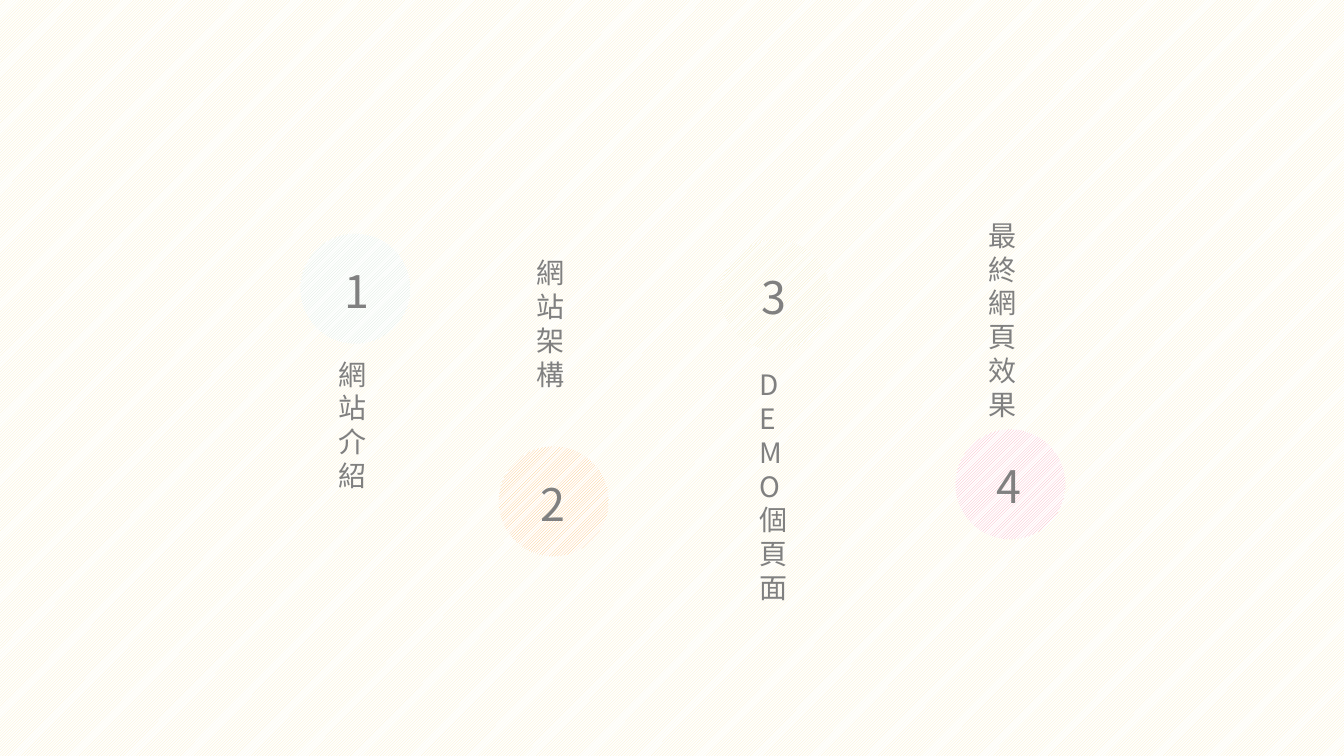
from dataclasses import dataclass

from lxml.etree import SubElement
from pptx import Presentation
from pptx.dml.color import RGBColor
from pptx.dml.fill import FillFormat
from pptx.enum.dml import MSO_PATTERN
from pptx.enum.shapes import MSO_SHAPE
from pptx.enum.text import MSO_ANCHOR, MSO_AUTO_SIZE, PP_ALIGN
from pptx.oxml.ns import qn
from pptx.util import Cm, Pt

FONT = "Noto Sans CJK SC"
GREY = "808080"
CIRCLE = 2.77
LINE_HEIGHT = 1.21  # line pitch relative to the font size


@dataclass
class Box:
    left: float
    top: float
    width: float
    height: float


@dataclass
class Item:
    label: str
    colour: str
    circle_left: float
    circle_top: float
    label_box: Box
    digit_dx: float = 0.79


ITEMS = [
    Item("網站介紹", "D6E6D7", 7.57, 5.89, Box(8.28, 8.81, 1.3, 4.52), 0.86),
    Item("網站架構", "FBC279", 12.57, 11.25, Box(13.26, 6.25, 1.17, 3.68)),
    Item("DEMO個頁面", "F1E7B6", 18.16, 6.05, Box(18.9, 9.07, 1.3, 6.25)),
    Item("最終網頁效果", "F7ACBC", 24.08, 10.82, Box(24.66, 5.31, 1.83, 5.38)),
]


def rgb(colour: str) -> RGBColor:
    return RGBColor.from_string(colour)


def hatch(fill: FillFormat, pattern: MSO_PATTERN, colour: str) -> None:
    fill.patterned()
    fill.pattern = pattern
    fill.fore_color.rgb = rgb(colour)
    fill.back_color.rgb = rgb("FFFFFF")


def add_text(shapes, text: str, box: Box, size: float) -> None:
    """Add a narrow box that wraps to one character per line."""
    s = shapes.add_textbox(Cm(box.left), Cm(box.top), Cm(box.width), Cm(box.height))
    tf = s.text_frame
    tf.word_wrap = True
    tf.auto_size = MSO_AUTO_SIZE.SHAPE_TO_FIT_TEXT
    tf.vertical_anchor = MSO_ANCHOR.TOP
    tf.margin_top = Cm(0.18)
    tf.margin_bottom = Cm(0.08)
    p = tf.paragraphs[0]
    p.alignment = PP_ALIGN.LEFT
    p.line_spacing = Pt(size * LINE_HEIGHT)
    r = p.add_run()
    r.text = text
    r.font.name = FONT
    r.font.size = Pt(size)
    r.font.color.rgb = rgb(GREY)
    # East Asian characters take their own typeface setting
    SubElement(r.font._element, qn("a:ea")).set("typeface", FONT)


def add_badge(shapes, number: int, item: Item) -> None:
    group = shapes.add_group_shape()
    s = group.shapes.add_shape(
        MSO_SHAPE.OVAL, Cm(item.circle_left), Cm(item.circle_top), Cm(CIRCLE), Cm(CIRCLE)
    )
    s.shadow.inherit = False
    s.line.fill.background()
    hatch(s.fill, MSO_PATTERN.DARK_UPWARD_DIAGONAL, item.colour)
    digit_box = Box(item.circle_left + item.digit_dx, item.circle_top + 0.56, 0.97, 1.63)
    add_text(group.shapes, str(number), digit_box, 32)


def main() -> None:
    prs = Presentation()
    prs.slide_width, prs.slide_height = Cm(33.87), Cm(19.05)
    slide = prs.slides.add_slide(prs.slide_layouts[6])

    # Background
    hatch(slide.background.fill, MSO_PATTERN.LIGHT_UPWARD_DIAGONAL, "F8EEC6")

    # Numbered circles, then their vertical labels
    for number, item in enumerate(ITEMS, start=1):
        add_badge(slide.shapes, number, item)
    for item in ITEMS:
        add_text(slide.shapes, item.label, item.label_box, 20)

    prs.save("out.pptx")


if __name__ == "__main__":
    main()
